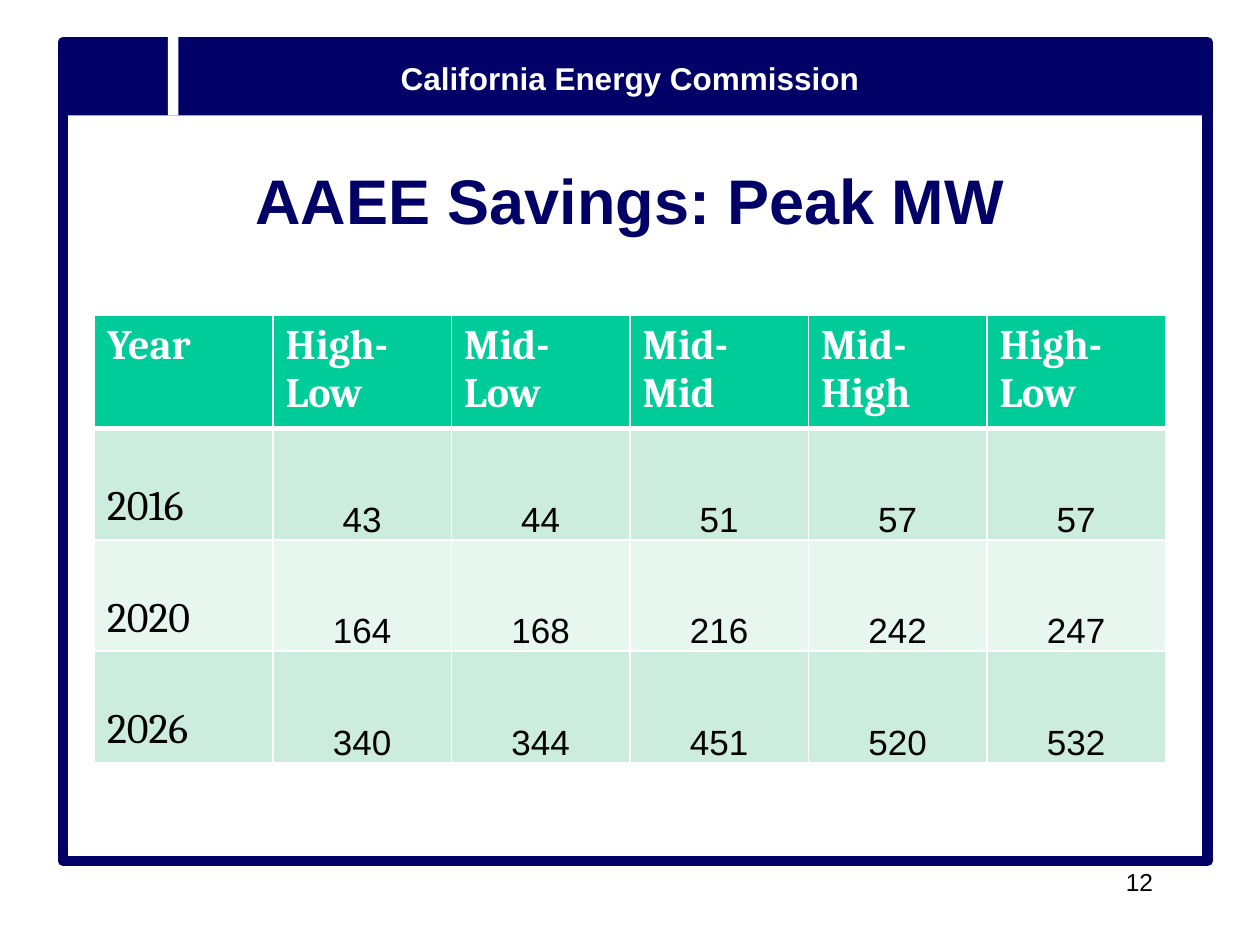
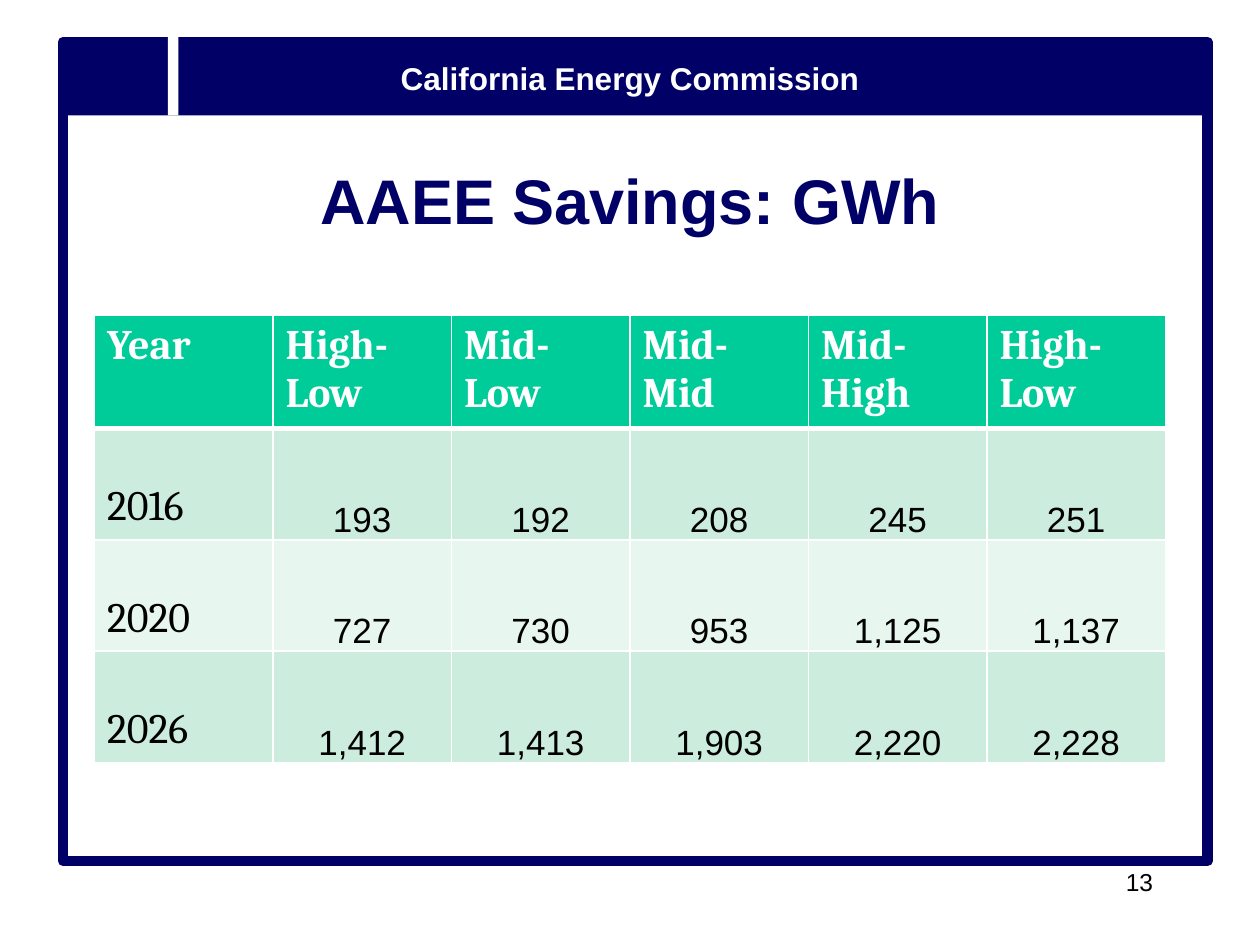
from lxml import etree
from pptx import Presentation
from pptx.dml.color import RGBColor
from pptx.enum.shapes import MSO_SHAPE
from pptx.enum.text import MSO_ANCHOR, PP_ALIGN
from pptx.oxml.ns import qn
from pptx.util import Pt

RECT = MSO_SHAPE.RECTANGLE
TOP, MIDDLE, BOTTOM = MSO_ANCHOR.TOP, MSO_ANCHOR.MIDDLE, MSO_ANCHOR.BOTTOM
LEFT, CENTER, RIGHT = PP_ALIGN.LEFT, PP_ALIGN.CENTER, PP_ALIGN.RIGHT

SCALE = 7620
NAVY, WHITE, BLACK = "000066", "FFFFFF", "000000"
GREEN, MINT, PALE = "00CC99", "CCECDE", "E7F6EF"
SANS, SERIF = "Arial", "Cambria"

HEADS = ["Year", "High-Low", "Mid-Low", "Mid-Mid", "Mid-High", "High-Low"]
SLIDES = [
    (12, "AAEE Savings: Peak MW", [
        ["2016", "43", "44", "51", "57", "57"],
        ["2020", "164", "168", "216", "242", "247"],
        ["2026", "340", "344", "451", "520", "532"],
    ]),
    (13, "AAEE Savings: GWh", [
        ["2016", "193", "192", "208", "245", "251"],
        ["2020", "727", "730", "953", "1,125", "1,137"],
        ["2026", "1,412", "1,413", "1,903", "2,220", "2,228"],
    ]),
]


def px(count):
    return round(count * SCALE)


def color(code):
    return RGBColor.from_string(code)


def write(frame, text, size, ink, align, face=SANS, bold=False):
    para = frame.paragraphs[0]
    para.text = text
    para.alignment = align
    font = para.font
    font.name, font.size, font.bold = face, Pt(size), bold
    font.color.rgb = color(ink)


def label(slide, box, text, size, ink, align, bold=False, anchor=TOP):
    frame = slide.shapes.add_textbox(*map(px, box)).text_frame
    frame.word_wrap = True
    frame.vertical_anchor = anchor
    write(frame, text, size, ink, align, bold=bold)


def block(slide, box, fill=None, line=None):
    shape = slide.shapes.add_shape(RECT, *map(px, box))
    shape.shadow.inherit = False
    if fill:
        shape.fill.solid()
        shape.fill.fore_color.rgb = color(fill)
    else:
        shape.fill.background()
    if line:
        shape.line.color.rgb = color(line)
        shape.line.width = Pt(6)
    else:
        shape.line.fill.background()


def border(cell, widths):
    props = cell._tc.get_or_add_tcPr()
    for side, width in zip("LRTB", widths):
        line = etree.SubElement(props, qn("a:ln" + side), w=str(Pt(width)))
        fill = etree.SubElement(line, qn("a:solidFill"))
        etree.SubElement(fill, qn("a:srgbClr"), val=WHITE)


def paint(cell, fill):
    cell.fill.solid()
    cell.fill.fore_color.rgb = color(fill)


def frame(slide, box):
    left, top, width, height = box
    block(slide, box, line=NAVY)
    block(slide, (left, top, width, 70), fill=NAVY)
    label(slide, (left, top + 10, width - 10, 48),
          "California Energy Commission", 18, WHITE, CENTER, bold=True)
    block(slide, (left + 100, top - 10, 10, 80), fill=WHITE)


def grid(slide, box, rows):
    table = slide.shapes.add_table(len(rows) + 1, len(HEADS), *map(px, box)).table
    table.first_row = table.horz_banding = False
    for col, head in enumerate(HEADS):
        cell = table.cell(0, col)
        border(cell, (1, 1, 1, 3))
        paint(cell, GREEN)
        write(cell.text_frame, head, 24, WHITE, LEFT, SERIF, True)
    for row, values in enumerate(rows, 1):
        for col, value in enumerate(values):
            cell = table.cell(row, col)
            border(cell, (1, 1, 3 if row == 1 else 1, 1))
            paint(cell, MINT if row % 2 else PALE)
            if col == 0:
                cell.margin_top = px(52)
                write(cell.text_frame, value, 24, BLACK, LEFT, SERIF)
            else:
                cell.vertical_anchor = BOTTOM
                cell.margin_left = cell.margin_right = cell.margin_top = px(1)
                cell.margin_bottom = 0
                write(cell.text_frame, value, 20, BLACK, CENTER)


def page(deck, number, title, rows):
    slide = deck.slides.add_slide(deck.slide_layouts[6])
    frame(slide, (60, 40, 1090, 780))
    label(slide, (90, 120, 1020, 140), title, 36, NAVY, CENTER, True, MIDDLE)
    label(slide, (860, 820, 250, 60), str(number), 14, BLACK, RIGHT)
    grid(slide, (90, 300, 1020, 400), rows)


def main():
    deck = Presentation()
    deck.slide_width, deck.slide_height = px(1200), px(900)
    for number, title, rows in SLIDES:
        page(deck, number, title, rows)
    deck.save("out.pptx")


if __name__ == "__main__":
    main()
